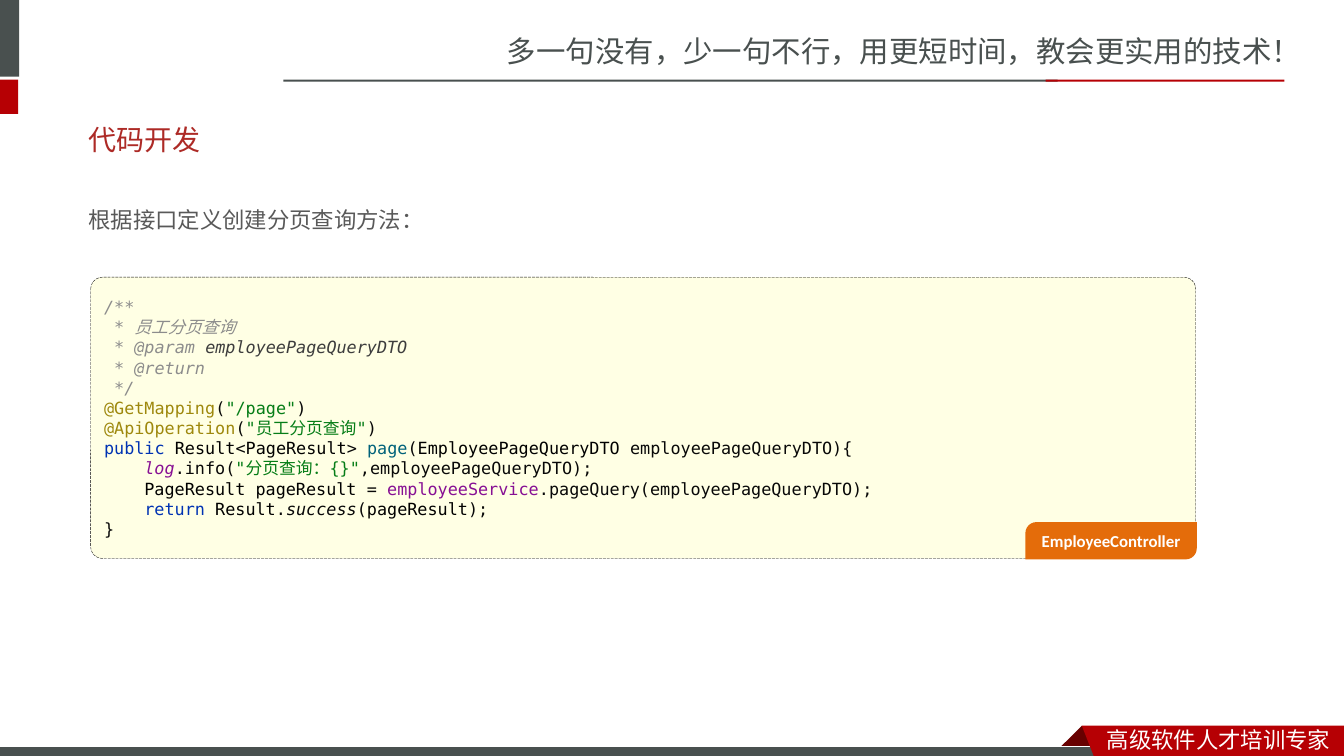
from pptx import Presentation
from pptx.dml.color import RGBColor
from pptx.enum.dml import MSO_LINE
from pptx.enum.shapes import MSO_SHAPE as SHAPE
from pptx.enum.text import MSO_ANCHOR as ANCHOR, PP_ALIGN as ALIGN
from pptx.oxml.ns import qn
from pptx.util import Inches, Pt
from lxml.etree import SubElement

WIDTH, HEIGHT = 13.33, 7.5
GREY, RED, DARK_RED, WHITE = "49504F", "B60004", "680000", "FFFFFF"
SANS, MONO, LABEL = "Noto Sans CJK SC", "DejaVu Sans Mono", "Calibri"
CODE_SIZE = 12
INDENT_STEP = 0.4  # four monospaced characters at the code size

SLOGAN = "多一句没有，少一句不行，用更短时间，教会更实用的技术！"
FOOTER = "高级软件人才培训专家"
TITLE = "代码开发"
INTRO = "根据接口定义创建分页查询方法："
CLASS_NAME = "EmployeeController"

# style: (colour, italic)
STYLES = {
    "doc": ("8C8C8C", True),
    "param": ("3D3D3D", True),
    "annotation": ("9E880D", False),
    "plain": ("080808", False),
    "string": ("067D17", False),
    "keyword": ("0033B3", False),
    "type": ("000000", False),
    "method": ("00627A", False),
    "static": ("871094", True),
    "field": ("871094", False),
    "call": ("080808", True),
}

# (indent level, [(text, style), ...])
CODE = [
    (0, [("/**", "doc")]),
    (0, [(" * ", "doc"), ("员工分页查询", "doc")]),
    (0, [(" * @param ", "doc"), ("employeePageQueryDTO", "param")]),
    (0, [(" * @return", "doc")]),
    (0, [(" */", "doc")]),
    (0, [("@GetMapping", "annotation"), ("(", "plain"), ('"/page"', "string"), (")", "plain")]),
    (0, [("@ApiOperation", "annotation"), ("(", "plain"), ('"', "string"),
         ("员工分页查询", "string"), ('"', "string"), (")", "plain")]),
    (0, [("public ", "keyword"), ("Result", "type"), ("<", "plain"), ("PageResult", "type"),
         ("> ", "plain"), ("page", "method"), ("(", "plain"),
         ("EmployeePageQueryDTO ", "type"), ("employeePageQueryDTO){", "plain")]),
    (1, [("log", "static"), (".info(", "plain"), ('"', "string"), ("分页查询：", "string"),
         ('{}"', "string"), (",employeePageQueryDTO);", "plain")]),
    (1, [("PageResult pageResult ", "type"), ("= ", "plain"), ("employeeService", "field"),
         (".pageQuery(employeePageQueryDTO);", "plain")]),
    (1, [("return ", "keyword"), ("Result", "type"), (".", "plain"), ("success", "call"),
         ("(", "plain"), ("pageResult", "type"), (");", "plain")]),
    (0, [("}", "plain")]),
]

RULE_TOP, RULE_HEIGHT = 0.79, 0.02
RIBBON_TOP, RIBBON_LEFT = 7.2, 10.73
CARD = (0.9, 2.75, 10.96, 2.79)
TAG_WIDTH, TAG_HEIGHT = 1.7, 0.37

BARS = [
    ((-0.06, 0, 0.25, 0.76), GREY),
    ((-0.06, RULE_TOP, 0.24, 0.34), RED),
    ((2.81, RULE_TOP, 7.68, RULE_HEIGHT), GREY),
    ((10.37, RULE_TOP, 2.37, RULE_HEIGHT), RED),
]
FOLD = [(RIBBON_LEFT, RIBBON_TOP), (10.95, 7.42), (10.94, 7.43), (10.52, 7.43), (10.51, 7.42)]
RIBBON = [(RIBBON_LEFT, RIBBON_TOP), (WIDTH, RIBBON_TOP), (WIDTH, 7.54), (10.86, 7.53)]

prs = Presentation()
prs.slide_width, prs.slide_height = Inches(WIDTH), Inches(HEIGHT)
slide = prs.slides.add_slide(prs.slide_layouts[6])


def rgb(code):
    return RGBColor.from_string(code)


def paint(shape, fill, line=None, weight=0.75):
    shape.shadow.inherit = False
    shape.fill.solid()
    shape.fill.fore_color.rgb = rgb(fill)
    if line:
        shape.line.color.rgb = rgb(line)
        shape.line.width = Pt(weight)
    else:
        shape.line.fill.background()
    return shape


def add_box(kind, box, fill, **outline):
    return paint(slide.shapes.add_shape(kind, *map(Inches, box)), fill, **outline)


def add_outline(points, fill):
    start, *rest = [(Inches(x), Inches(y)) for x, y in points]
    builder = slide.shapes.build_freeform(*start)
    builder.add_line_segments(rest, close=True)
    return paint(builder.convert_to_shape(), fill)


def write(paragraph, text, size, font, color, bold=False, italic=False):
    """Add a run, with its font set for Latin and East Asian characters alike."""
    run = paragraph.add_run()
    run.text = text
    run.font.size, run.font.name = Pt(size), font
    run.font.bold, run.font.italic = bold, italic
    run.font.color.rgb = rgb(color)
    SubElement(run.font._element, qn("a:ea")).set("typeface", font)


def add_text(box, text, anchor=ANCHOR.TOP, spacing=None, **look):
    frame = slide.shapes.add_textbox(*map(Inches, box)).text_frame
    frame.word_wrap, frame.vertical_anchor = True, anchor
    frame.paragraphs[0].line_spacing = spacing
    write(frame.paragraphs[0], text, **look)


def add_code_card():
    card = add_box(SHAPE.ROUNDED_RECTANGLE, CARD, "FFFFE4", line="000000", weight=0.25)
    card.adjustments[0] = 0.042
    card.line.dash_style = MSO_LINE.LONG_DASH
    frame = card.text_frame
    frame.word_wrap, frame.vertical_anchor = True, ANCHOR.MIDDLE
    for number, (level, tokens) in enumerate(CODE):
        line = frame.add_paragraph() if number else frame.paragraphs[0]
        line.alignment = ALIGN.LEFT
        if level:
            line._p.get_or_add_pPr().set("marL", str(Inches(level * INDENT_STEP)))
        for text, style in tokens:
            color, italic = STYLES[style]
            font = MONO if text.isascii() else SANS
            write(line, text, CODE_SIZE, font, color, italic=italic)


def add_class_tag():
    """Put the class name in the bottom right corner of the code card."""
    left, top, width, height = CARD
    corner = (left + width + 0.01 - TAG_WIDTH, top + height + 0.01 - TAG_HEIGHT)
    tag = add_box(SHAPE.ROUND_2_DIAG_RECTANGLE, (*corner, TAG_WIDTH, TAG_HEIGHT), "E46C0A")
    tag.adjustments[0], tag.adjustments[1] = 0.296, 0
    frame = tag.text_frame
    frame.margin_left = frame.margin_right = frame.margin_top = frame.margin_bottom = 0
    frame.vertical_anchor = ANCHOR.MIDDLE
    frame.paragraphs[0].alignment = ALIGN.CENTER
    write(frame.paragraphs[0], CLASS_NAME, 12, LABEL, WHITE, bold=True)


def main():
    add_text((4.93, 0.28, 8.41, 0.47), SLOGAN, size=21, font=SANS, color=GREY)
    for box, color in BARS:
        add_box(SHAPE.RECTANGLE, box, color)
    add_outline(FOLD, DARK_RED)
    add_box(SHAPE.RECTANGLE, (-0.01, 7.41, 11, 0.12), GREY, line=WHITE)
    add_outline(RIBBON, RED)
    add_text((10.88, 7.15, 2.45, 0.37), FOOTER, size=16, font=SANS, color=WHITE)
    add_text((0.78, 1.1, 11.7, 0.57), TITLE, anchor=ANCHOR.MIDDLE,
             size=20, font=LABEL, color="AD2A26")
    add_text((0.78, 1.86, 11.39, 0.46), INTRO, spacing=1.5,
             size=16, font="Noto Sans CJK JP", color="595959")
    add_code_card()
    add_class_tag()
    prs.save("out.pptx")


if __name__ == "__main__":
    main()
